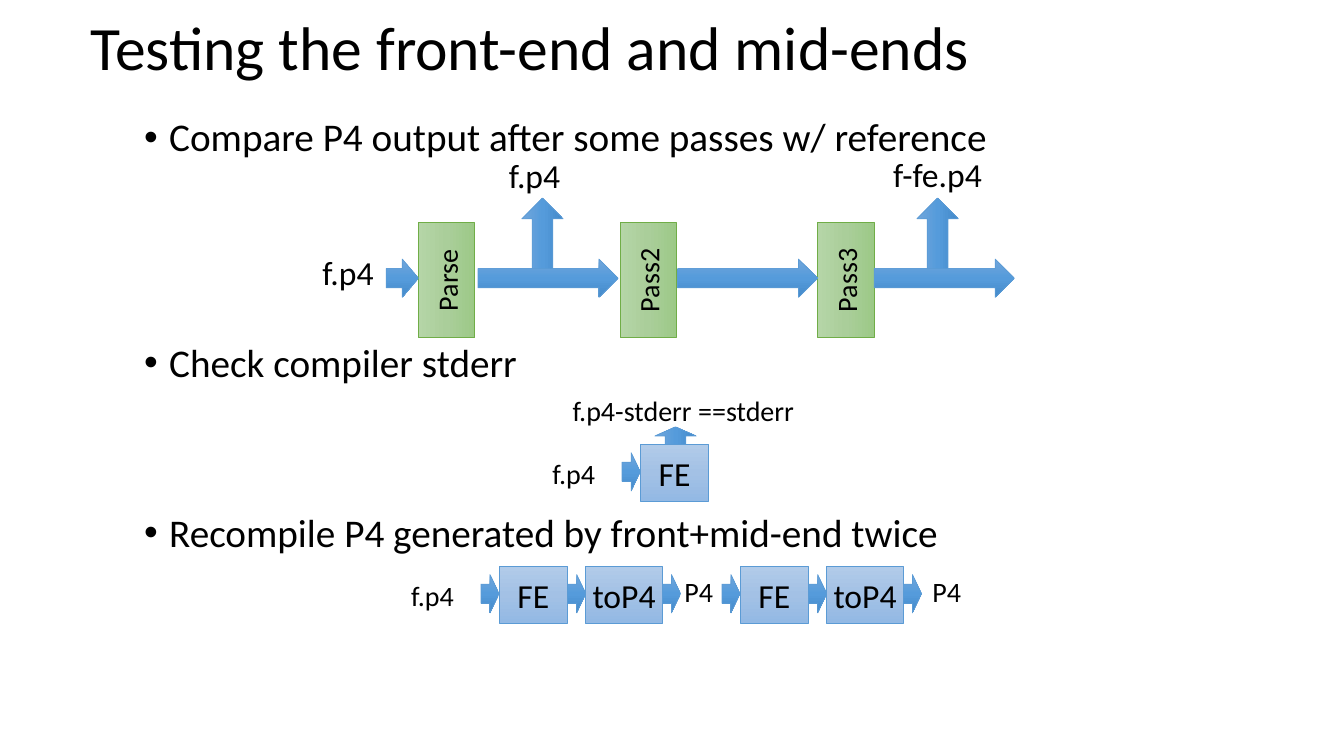
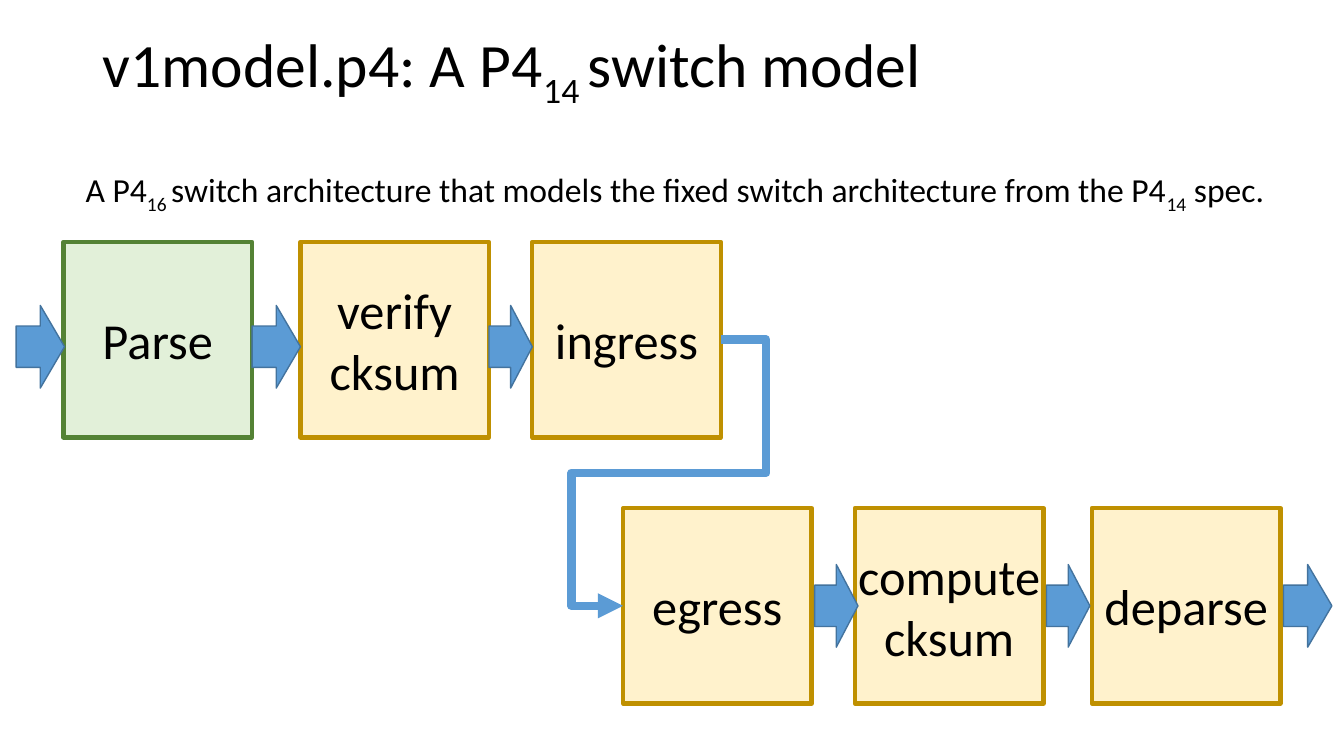
from copy import deepcopy
from dataclasses import dataclass

from lxml.etree import SubElement
from pptx import Presentation
from pptx.dml.color import RGBColor
from pptx.enum.shapes import MSO_CONNECTOR as Connector, MSO_SHAPE as Preset
from pptx.enum.text import MSO_ANCHOR as Anchor, MSO_AUTO_SIZE as AutoSize, PP_ALIGN as Align
from pptx.oxml.ns import qn
from pptx.shapes.autoshape import Shape
from pptx.slide import Slide
from pptx.util import Inches, Pt

FONT = "Calibri"
BLACK, BLUE, BLUE_EDGE = "000000", "5B9BD5", "43739E"


@dataclass(frozen=True)
class Style:
    fills: tuple[str, ...]  # one colour is solid, three make a gradient
    line: str
    weight: float


@dataclass(frozen=True)
class Area:
    left: float
    top: float
    width: float
    height: float


@dataclass(frozen=True)
class Span:
    text: str
    subscript: bool = False


@dataclass(frozen=True)
class Label:
    text: str
    area: Area
    size: int = 20
    wrap: bool = True


@dataclass(frozen=True)
class Stage:
    lines: tuple[str, ...]
    left: float
    style: Style
    wrap: bool = True


GLOSSY_ARROW = Style(("71A6DB", "559BDB", "448ACA"), BLUE, 0.5)
GLOSSY_BLUE = Style(("B1CBE9", "A3C1E5", "93B9E4"), BLUE, 0.5)
GLOSSY_GREEN = Style(("B5D5A7", "AACE9A", "9CC987"), "70AD47", 0.5)
FLAT_ARROW = Style((BLUE,), BLUE_EDGE, 1)
FLAT_GREEN = Style(("E2F0D9",), "548235", 3)
FLAT_YELLOW = Style(("FFF2CC",), "BF9000", 3)


# Shared helpers

def color(code: str) -> RGBColor:
    return RGBColor.from_string(code)


def set_font(para, size: float) -> None:
    para.font.name = FONT
    para.font.size = Pt(size)
    para.font.color.rgb = color(BLACK)


def add_spans(para, spans: tuple[Span, ...]) -> None:
    for span in spans:
        run = para.add_run()
        run.text = span.text
        if span.subscript:
            run._r.get_or_add_rPr().set("baseline", "-25000")


def add_text(page: Slide, area: Area, spans: tuple[Span, ...], size: float,
             wrap: bool = True) -> Shape:
    box = page.shapes.add_textbox(Inches(area.left), Inches(area.top),
                                  Inches(area.width), Inches(area.height))
    frame = box.text_frame
    frame.word_wrap = wrap
    if not wrap:
        frame.auto_size = AutoSize.SHAPE_TO_FIT_TEXT
    para = frame.paragraphs[0]
    add_spans(para, spans)
    set_font(para, size)
    return box


def add_title(page: Slide, area: Area, *spans: Span) -> None:
    frame = add_text(page, area, spans, 44).text_frame
    frame.vertical_anchor = Anchor.MIDDLE
    frame.paragraphs[0].line_spacing = 0.9


def add_label(page: Slide, label: Label) -> None:
    add_text(page, label.area, (Span(label.text),), label.size, label.wrap)


def paint(shape: Shape, style: Style) -> None:
    shape.shadow.inherit = False
    shape.line.color.rgb = color(style.line)
    shape.line.width = Pt(style.weight)
    fill = shape.fill
    if len(style.fills) == 1:
        fill.solid()
        fill.fore_color.rgb = color(style.fills[0])
        return
    fill.gradient()
    fill.gradient_angle = 270
    stops = shape._element.spPr.find(".//" + qn("a:gsLst"))
    stops.append(deepcopy(stops[0]))
    for index, (stop, code) in enumerate(zip(fill.gradient_stops, style.fills)):
        stop.position = index / 2
        stop.color.rgb = color(code)


def add_preset(page: Slide, preset: Preset, area: Area, style: Style,
               rotation: float = 0) -> Shape:
    shape = page.shapes.add_shape(preset, Inches(area.left), Inches(area.top),
                                  Inches(area.width), Inches(area.height))
    shape.rotation = rotation
    paint(shape, style)
    return shape


def add_arrow(page: Slide, area: Area, style: Style = GLOSSY_ARROW,
              rotation: float = 0) -> None:
    add_preset(page, Preset.RIGHT_ARROW, area, style, rotation)


def add_block(page: Slide, area: Area, lines: tuple[str, ...], size: float,
              style: Style, rotation: float = 0, wrap: bool = True) -> Shape:
    block = add_preset(page, Preset.RECTANGLE, area, style, rotation)
    frame = block.text_frame
    frame.word_wrap = wrap
    frame.vertical_anchor = Anchor.MIDDLE
    for index, line in enumerate(lines):
        para = frame.add_paragraph() if index else frame.paragraphs[0]
        para.alignment = Align.CENTER
        add_spans(para, (Span(line),))
        set_font(para, size)
    return block


def add_bullets(page: Slide, area: Area, items: tuple[tuple[str, float], ...]) -> None:
    """Each item is its text and the space before it in points."""
    frame = page.shapes.add_textbox(Inches(area.left), Inches(area.top),
                                    Inches(area.width), Inches(area.height)).text_frame
    frame.word_wrap = True
    for index, (text, space) in enumerate(items):
        para = frame.add_paragraph() if index else frame.paragraphs[0]
        para.line_spacing = 0.9
        para.space_before = Pt(space)
        props = para._p.get_or_add_pPr()
        props.set("marL", str(Inches(0.25)))
        props.set("indent", str(Inches(-0.25)))
        SubElement(props, qn("a:buFont")).set("typeface", "Arial")
        SubElement(props, qn("a:buChar")).set("char", "•")
        add_spans(para, (Span(text),))
        set_font(para, 28)


# Slide 1: compiler tests

SMALL_ARROW, SMALL_HEIGHT = 0.18, 0.38
BLOCK_HEIGHT, FE_WIDTH, TO_P4_WIDTH = 0.56, 0.68, 0.76


def add_chain(page: Slide, left: float, top: float,
              blocks: tuple[tuple[str, float], ...]) -> float:
    """Draw an arrow before each block and return the right edge."""
    for text, width in blocks:
        add_arrow(page, Area(left, top + 0.08, SMALL_ARROW, SMALL_HEIGHT))
        left += SMALL_ARROW
        add_block(page, Area(left, top, width, BLOCK_HEIGHT), (text,), 24,
                  GLOSSY_BLUE, wrap=False)
        left += width
    return left


def draw_testing(page: Slide) -> None:
    add_title(page, Area(0.8, 0.06, 9, 0.89), Span("Testing the front-end and mid-ends"))
    add_bullets(page, Area(1.33, 1.12, 9.75, 6.2), (
        ("Compare P4 output after some passes w/ reference", 0),
        ("Check compiler stderr", 131),
        ("Recompile P4 generated by front+mid-end twice", 91),
    ))

    # Pass pipeline with its dumped outputs
    for text, left in (("Parse", 3.86), ("Pass2", 5.86), ("Pass3", 7.82)):
        add_block(page, Area(left, 2.5, 1.14, 0.56), (text,), 20, GLOSSY_GREEN, 270)
    for left, width in ((3.83, 0.32), (4.74, 1.39), (6.72, 1.39), (8.67, 1.39)):
        add_arrow(page, Area(left, 2.57, width, SMALL_HEIGHT))
    for left in (5.03, 8.95):
        add_arrow(page, Area(left, 2.11, 0.7, 0.41), rotation=270)

    # Error output check
    add_arrow(page, Area(6.61, 4.12, SMALL_ARROW, 0.41), rotation=270)
    add_chain(page, 6.17, 4.41, (("FE", FE_WIDTH),))

    # Two compilations in a row
    for left in (4.77, 7.16):
        end = add_chain(page, left, 5.62, (("FE", FE_WIDTH), ("toP4", TO_P4_WIDTH)))
        add_arrow(page, Area(end, 5.7, SMALL_ARROW, SMALL_HEIGHT))

    for label in (
        Label("f.p4", Area(3.1, 2.45, 0.74, 0.5), 24, False),
        Label("f.p4", Area(4.95, 1.49, 0.94, 0.5), 24),
        Label("f-fe.p4", Area(8.76, 1.48, 1.21, 0.5), 24),
        Label("f.p4", Area(5.38, 4.48, 0.65, 0.44), wrap=False),
        Label("f.p4-stderr ==stderr", Area(5.58, 3.85, 2.52, 0.44)),
        Label("f.p4", Area(3.98, 5.69, 0.65, 0.44), wrap=False),
        Label("P4", Area(6.69, 5.65, 0.58, 0.44)),
        Label("P4", Area(9.15, 5.65, 0.58, 0.44)),
    ):
        add_label(page, label)


# Slide 2: switch model

STAGE_WIDTH, STAGE_HEIGHT = 1.87, 1.94


def add_stages(page: Slide, top: float, stages: tuple[Stage, ...]) -> list[Shape]:
    return [add_block(page, Area(stage.left, top, STAGE_WIDTH, STAGE_HEIGHT),
                      stage.lines, 36, stage.style, wrap=stage.wrap)
            for stage in stages]


def add_return_path(page: Slide, source: Shape, target: Shape) -> None:
    path = page.shapes.add_connector(Connector.ELBOW, Inches(7.15), Inches(3.37),
                                     Inches(6.18), Inches(6.01))
    path.begin_connect(source, 3)
    path.end_connect(target, 1)
    path.line.color.rgb = color(BLUE)
    path.line.width = Pt(6)
    props = path._element.spPr
    geometry = props.find(qn("a:prstGeom"))
    geometry.set("prst", "bentConnector5")
    guides = geometry.find(qn("a:avLst"))
    for index, value in enumerate((-46500, 50000, 152700), start=1):
        guide = SubElement(guides, qn("a:gd"))
        guide.set("name", f"adj{index}")
        guide.set("fmla", f"val {value}")
    SubElement(props.find(qn("a:ln")), qn("a:tailEnd")).set("type", "triangle")
    SubElement(props, qn("a:effectLst"))


def draw_switch_model(page: Slide) -> None:
    add_title(page, Area(0.92, 0.1, 11.5, 1.09), Span("v1model.p4: A P4"),
              Span("14 ", True), Span("switch model"))
    add_text(page, Area(0.75, 1.63, 12.06, 0.5), (
        Span("A P4"), Span("16 ", True),
        Span("switch architecture that models the fixed switch architecture from the P4"),
        Span("14", True), Span(" spec."),
    ), 24, wrap=False)

    # Stages before and after the queue
    upper = add_stages(page, 2.4, (
        Stage(("Parse",), 0.63, FLAT_GREEN),
        Stage(("verify", "cksum"), 2.98, FLAT_YELLOW),
        Stage(("ingress",), 5.28, FLAT_YELLOW),
    ))
    lower = add_stages(page, 5.04, (
        Stage(("egress",), 6.18, FLAT_YELLOW),
        Stage(("compute", "cksum"), 8.48, FLAT_YELLOW, wrap=False),
        Stage(("deparse",), 10.83, FLAT_YELLOW),
    ))

    # Arrows between stages
    for top, arrows in (
        (3.03, ((0.16, 0.48), (2.5, 0.48), (4.85, 0.43))),
        (5.6, ((8.08, 0.43), (10.38, 0.43), (12.73, 0.48))),
    ):
        for left, width in arrows:
            add_arrow(page, Area(left, top, width, 0.82), FLAT_ARROW)
    add_return_path(page, upper[-1], lower[0])


def main() -> None:
    deck = Presentation()
    deck.slide_width, deck.slide_height = Inches(13.33), Inches(7.5)
    for draw in (draw_testing, draw_switch_model):
        draw(deck.slides.add_slide(deck.slide_layouts[6]))
    deck.save("out.pptx")


if __name__ == "__main__":
    main()
